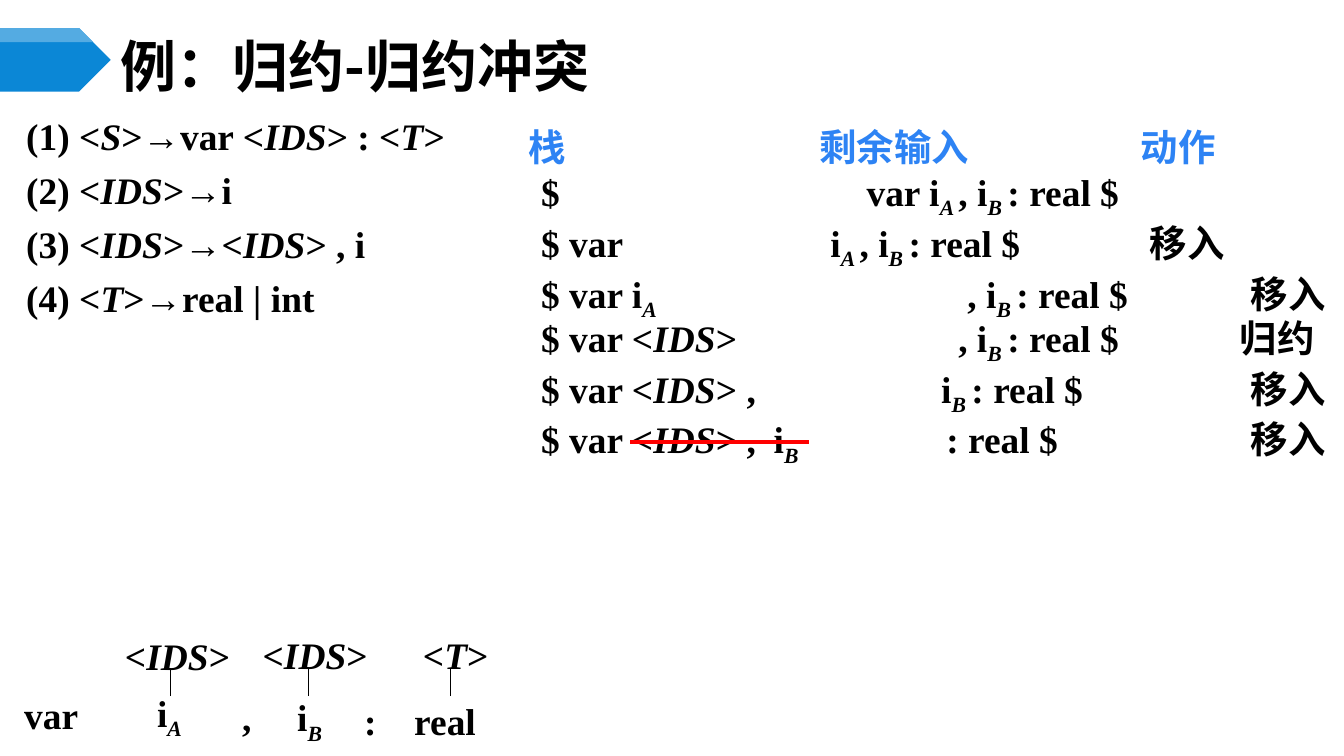
"""Build the slide on a reduce-reduce conflict in parsing."""
import dataclasses

import pptx
import pptx.dml.color
import pptx.enum.shapes
import pptx.enum.text
import pptx.oxml
import pptx.oxml.ns
import pptx.util

Cm = pptx.util.Cm
Pt = pptx.util.Pt
qn = pptx.oxml.ns.qn


@dataclasses.dataclass(frozen=True)
class Theme:
    ink: str = "000000"
    head: str = "2D83F4"
    flag: str = "0B87D6"
    shine: str = "54ABE2"
    strike: str = "FF0000"
    serif: str = "Times New Roman"
    sans: str = "Noto Sans CJK SC"
    title: float = 40
    body: float = 26.7


THEME = Theme()

RULES = [
    "(1) <*S*>→var <*IDS*> : <*T*>",
    "(2) <*IDS*>→i",
    "(3) <*IDS*>→<*IDS*> , i",
    "(4) <*T*>→real* | *int",
]

TRACE = [
    ("\t$\tvar i*_A *, i*_B *: real $", 36.5, [1.17, 9.37]),
    ("\t$ var\ti*_A *, i*_B *: real $\t移入", 36.4, [1.17, 8.46, 16.51]),
    ("\t$ var i*_A*\t, i*_B *: real $\t移入", 36.4, [1.17, 11.91, 19.05]),
    ("\t$ var <*IDS*>\t, i*_B *: real $\t归约", 31.4, [1.17, 11.68, 18.77]),
    ("\t$ var <*IDS*> ,\ti*_B *: real $\t移入", 36.4, [1.17, 11.25, 19.05]),
    ("\t$ var <*IDS*> ,\ti*_B*\t: real $\t移入", 36.4, [1.17, 7.03, 11.38, 19.05]),
]

LABELS = [
    ("<*IDS*>", 3.15, 15.95),
    ("<*IDS*>", 6.62, 15.93),
    ("<*T*>", 10.66, 15.93),
    ("var", 0.61, 17.45),
    ("i*_A*", 3.96, 17.38),
    (",", 6.1, 17.5),
    ("i*_B*", 7.49, 17.5),
    (":", 9.18, 17.6),
    ("real", 10.44, 17.6),
]

STEMS = [4.29, 7.77, 11.35]


def rgb(code):
    """Turn a hex code into a colour."""
    return pptx.dml.color.RGBColor.from_string(code)


def add_run(para, text, size, color, face):
    """Add one bold run with its Latin and East Asian faces."""
    run = para.add_run()
    run.text = text
    font = run.font
    font.size, font.bold, font.name = Pt(size), True, face
    font.color.rgb = rgb(color)
    east = pptx.oxml.parse_xml(
        f'<a:ea {pptx.oxml.ns.nsdecls("a")} typeface="{THEME.sans}"/>')
    font._element.find(qn("a:latin")).addnext(east)
    return run


def add_mark(para, text, color=THEME.ink, face=THEME.serif):
    """Add runs; stars enclose italics and a leading underscore lowers them."""
    for i, part in enumerate(text.split("*")):
        if not part:
            continue
        run = add_run(para, part.removeprefix("_"), THEME.body, color, face)
        if i % 2:
            run.font.italic = True
        if part.startswith("_"):
            run.font._element.set("baseline", "-25000")


def set_tabs(para, stops):
    """Give a paragraph left tab stops, in centimetres."""
    items = "".join(f'<a:tab pos="{Cm(stop)}" algn="l"/>' for stop in stops)
    para._p.get_or_add_pPr().append(pptx.oxml.parse_xml(
        f'<a:tabLst {pptx.oxml.ns.nsdecls("a")}>{items}</a:tabLst>'))


def add_box(slide, x, y, w, h):
    """Add a wrapping text box without margins and return its frame."""
    frame = slide.shapes.add_textbox(Cm(x), Cm(y), Cm(w), Cm(h)).text_frame
    frame.word_wrap = True
    frame.margin_left = frame.margin_right = 0
    frame.margin_top = frame.margin_bottom = 0
    return frame


def next_para(frame, i):
    """Return the first paragraph, or a new one after it."""
    return frame.add_paragraph() if i else frame.paragraphs[0]


def add_line(slide, x1, y1, x2, y2, color, width):
    """Add a plain straight line."""
    line = slide.shapes.add_connector(
        pptx.enum.shapes.MSO_CONNECTOR.STRAIGHT, Cm(x1), Cm(y1), Cm(x2), Cm(y2))
    line.line.color.rgb = rgb(color)
    line.line.width = Pt(width)
    line._element.spPr.append(pptx.oxml.parse_xml(
        f'<a:effectLst {pptx.oxml.ns.nsdecls("a")}/>'))


def paint(shape, color):
    """Fill a shape flat, with no line or shadow."""
    shape.shadow.inherit = False
    shape.fill.solid()
    shape.fill.fore_color.rgb = rgb(color)
    shape.line.fill.background()


def add_flag(slide):
    """Draw the blue pointer and its lighter top band."""
    flag = slide.shapes.add_shape(
        pptx.enum.shapes.MSO_SHAPE.PENTAGON, 0, Cm(0.71), Cm(2.79), Cm(1.6))
    paint(flag, THEME.flag)
    band = slide.shapes.build_freeform(0, Cm(0.71))
    band.add_line_segments(
        [(Cm(2), Cm(0.71)), (Cm(2.35), Cm(1.06)), (0, Cm(1.06))])
    paint(band.convert_to_shape(), THEME.shine)


def set_title(slide, text):
    """Place and fill the title."""
    title = slide.shapes.title
    title.left, title.top = Cm(2.79), Cm(0.99)
    title.width, title.height = Cm(29.36), Cm(1.32)
    frame = title.text_frame
    frame.vertical_anchor = pptx.enum.text.MSO_ANCHOR.MIDDLE
    frame.auto_size = pptx.enum.text.MSO_AUTO_SIZE.NONE
    para = frame.paragraphs[0]
    para.alignment = pptx.enum.text.PP_ALIGN.LEFT
    add_run(para, text, THEME.title, THEME.ink, THEME.sans)


def add_rules(slide):
    """List the grammar rules."""
    frame = add_box(slide, 0.66, 2.8, 13.1, 7.1)
    for i, rule in enumerate(RULES):
        para = next_para(frame, i)
        para.line_spacing = Pt(33.3)
        para.space_before = Pt(5.3 if i else 0)
        add_mark(para, rule)


def add_trace(slide):
    """Set out the parse steps under their headings."""
    frame = add_box(slide, 12.47, 3.35, 21.1, 11.6)
    head = ("\t栈\t剩余输入\t动作", 25.6, [0.86, 8.18, 16.28])
    for i, (text, pitch, stops) in enumerate([head, *TRACE]):
        para = next_para(frame, i)
        para.line_spacing = Pt(pitch)
        set_tabs(para, stops)
        if i:
            add_mark(para, text)
        else:
            add_mark(para, text, THEME.head, THEME.sans)


def add_tree(slide):
    """Draw the partial parse tree."""
    for x in STEMS:
        add_line(slide, x, 17.54, x, 16.87, THEME.ink, 1)
    for text, x, y in LABELS:
        frame = add_box(slide, x, y, 3.2, 1.2)
        add_mark(frame.paragraphs[0], text)


def main():
    """Build and save the deck."""
    deck = pptx.Presentation()
    deck.slide_width, deck.slide_height = Cm(33.87), Cm(19.05)
    slide = deck.slides.add_slide(deck.slide_layouts[5])
    add_flag(slide)
    set_title(slide, "例：归约-归约冲突")
    add_trace(slide)
    add_rules(slide)
    add_tree(slide)
    add_line(slide, 15.88, 11.13, 20.4, 11.13, THEME.strike, 3)
    deck.save("out.pptx")


if __name__ == "__main__":
    main()
